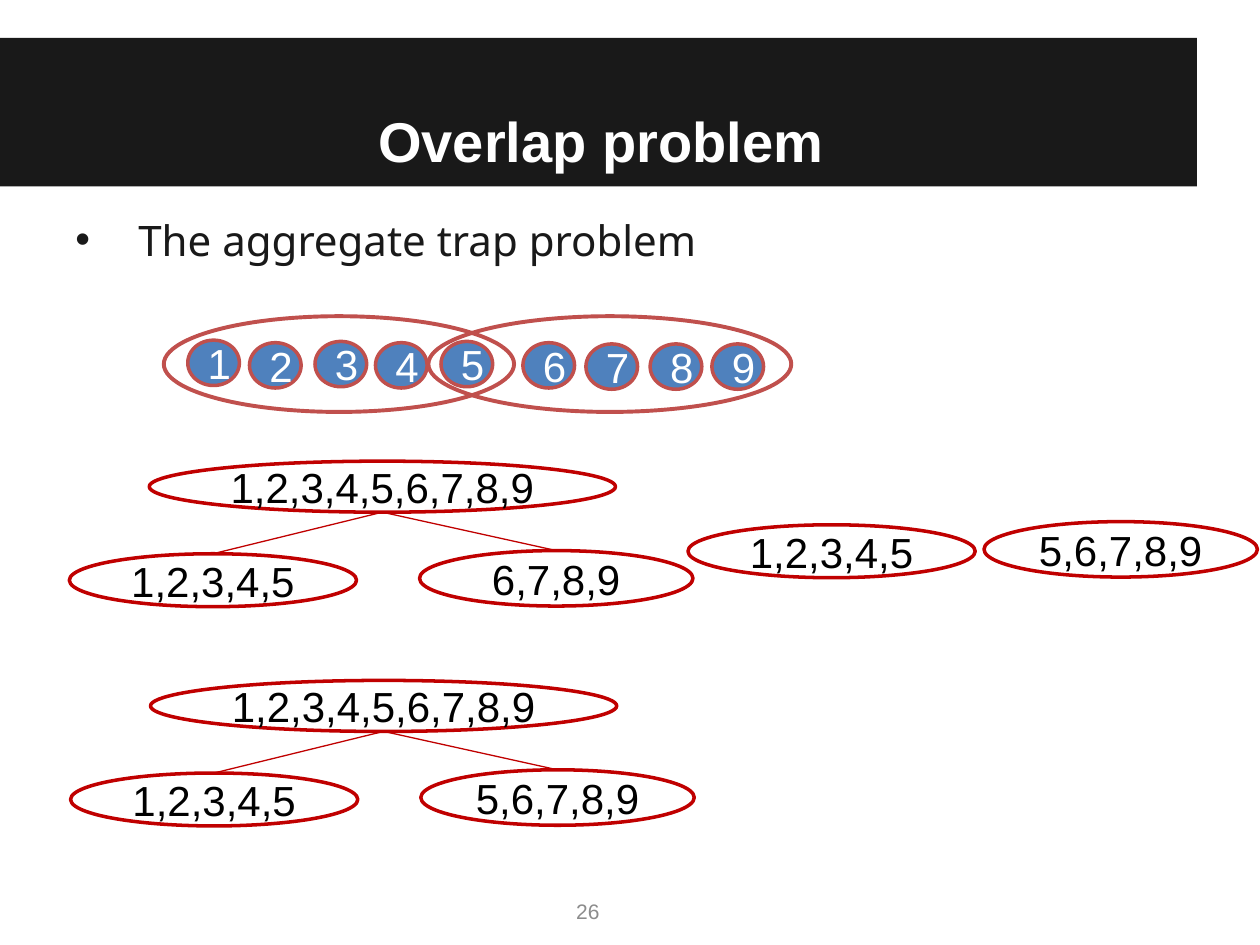
from dataclasses import dataclass

from lxml.etree import SubElement
from pptx import Presentation
from pptx.dml.color import RGBColor
from pptx.enum.shapes import MSO_CONNECTOR as Connector, MSO_SHAPE as Shape
from pptx.enum.text import MSO_ANCHOR as Anchor, PP_ALIGN as Align
from pptx.oxml.ns import qn
from pptx.util import Inches, Pt

COLUMNS, ROWS = 100, 75
CELL = Inches(0.1)


@dataclass(frozen=True)
class Theme:
    ink: str = "191919"
    white: str = "FFFFFF"
    black: str = "000000"
    grey: str = "8C8C8C"
    blue: str = "4F81BD"
    brick: str = "C0504D"
    red: str = "C00000"
    sans: str = "Arial"
    body_font: str = "Noto Sans"
    title_size: float = 32
    body_size: float = 24
    number_size: float = 12
    group_line: float = 2.25
    node_line: float = 2
    link_line: float = 0.75


THEME = Theme()


@dataclass(frozen=True)
class Box:
    """A rectangle in grid columns and rows."""
    left: float
    top: float
    width: float
    height: float

    def inner(self, left, top, width, height):
        return Box(self.left + left, self.top + top, width, height)

    def lengths(self):
        return [round(n * CELL) for n in (self.left, self.top, self.width, self.height)]

    def top_centre(self):
        return round((self.left + self.width / 2) * CELL), round(self.top * CELL)

    def bottom_centre(self):
        return self.top_centre()[0], round((self.top + self.height) * CELL)


def apply(target, formats):
    for name, value in formats.items():
        setattr(target, name, value)


def write(frame, text, color, size, font=THEME.sans, align=Align.CENTER, bold=False):
    paragraph = frame.paragraphs[0]
    paragraph.alignment = align
    run = paragraph.add_run()
    run.text = text
    apply(run.font, {"name": font, "size": Pt(size), "bold": bold})
    run.font.color.rgb = RGBColor.from_string(color)
    return paragraph


def add_text_box(slide, box, anchor, inset=0.1):
    shape = slide.shapes.add_textbox(*box.lengths())
    margins = {f"margin_{side}": Inches(inset) for side in ("left", "top", "right", "bottom")}
    apply(shape.text_frame, {"word_wrap": True, "vertical_anchor": anchor, **margins})
    return shape


def add_ellipse(slide, box, line, weight, fill=None, text=None, color=THEME.black):
    shape = slide.shapes.add_shape(Shape.OVAL, *box.lengths())
    shape.shadow.inherit = False
    if fill:
        shape.fill.solid()
        shape.fill.fore_color.rgb = RGBColor.from_string(fill)
    else:
        shape.fill.background()
    shape.line.color.rgb = RGBColor.from_string(line)
    shape.line.width = Pt(weight)
    if text:
        shape.text_frame.vertical_anchor = Anchor.MIDDLE
        write(shape.text_frame, text, color, THEME.body_size)


def add_node(slide, box, text):
    add_ellipse(slide, box, THEME.red, THEME.node_line, text=text)


def add_link(slide, start, end):
    link = slide.shapes.add_connector(Connector.STRAIGHT, *start, *end)
    link.line.color.rgb = RGBColor.from_string(THEME.red)
    link.line.width = Pt(THEME.link_line)
    SubElement(link._element.spPr, qn("a:effectLst"))


def add_title(slide, box, text):
    shape = add_text_box(slide, box, Anchor.BOTTOM)
    shape.fill.solid()
    shape.fill.fore_color.rgb = RGBColor.from_string(THEME.ink)
    paragraph = write(shape.text_frame, text, THEME.white, THEME.title_size, bold=True)
    paragraph._p.get_or_add_pPr().set("marL", str(Inches(0.04)))


def add_bullet(slide, box, text):
    shape = add_text_box(slide, box, Anchor.TOP)
    paragraph = write(shape.text_frame, text, THEME.ink, THEME.body_size,
                      THEME.body_font, Align.LEFT)
    properties = paragraph._p.get_or_add_pPr()
    properties.set("marL", str(Inches(0.5)))
    properties.set("indent", str(-Inches(0.5)))
    color = SubElement(properties, qn("a:buClr"))
    SubElement(color, qn("a:srgbClr"), val=THEME.ink)
    SubElement(properties, qn("a:buFont"), typeface=THEME.sans)
    SubElement(properties, qn("a:buChar"), char="•")


def add_slide_number(slide, box, text):
    shape = add_text_box(slide, box, Anchor.MIDDLE, 0.05)
    write(shape.text_frame, text, THEME.grey, THEME.number_size)


def add_overlapping_groups(slide, box):
    """Nine numbered items inside two ellipses that share item 5."""
    items = [(1.9, 1.9), (6.8, 2.1), (12, 2), (16.8, 2.1), (22, 2),
             (28.5, 2.1), (33.5, 2.2), (38.6, 2.2), (43.5, 2.2)]
    groups = {1: (0, 27.8), 6: (21, 28.8)}
    for number, (left, top) in enumerate(items, start=1):
        if number in groups:
            group_left, width = groups[number]
            add_ellipse(slide, box.inner(group_left, 0, width, box.height),
                        THEME.brick, THEME.group_line)
        add_ellipse(slide, box.inner(left, top, 4.1, 3.6), THEME.brick, THEME.node_line,
                    THEME.blue, str(number), THEME.white)


def add_pair(slide, box, texts):
    """Two nodes at the left and right ends of the box."""
    nodes = [box.inner(0, 0.25, 22.8, 4.2), box.inner(box.width - 21.7, 0, 21.7, 4.4)]
    for node, text in zip(nodes, texts):
        add_node(slide, node, text)
    return nodes


def add_tree(slide, box, root_text, child_texts):
    root = box.inner(6.35, 0, 37, 4.05)
    children = add_pair(slide, box.inner(0, 7.1, box.width, 4.45), child_texts)
    add_node(slide, root, root_text)
    for child in children:
        add_link(slide, child.top_centre(), root.bottom_centre())


def main():
    presentation = Presentation()
    presentation.slide_width, presentation.slide_height = COLUMNS * CELL, ROWS * CELL
    slide = presentation.slides.add_slide(presentation.slide_layouts[6])

    every, low, high = "1,2,3,4,5,6,7,8,9", "1,2,3,4,5", "5,6,7,8,9"
    add_title(slide, Box(0, 3, 95, 11.8), "Overlap problem")
    add_bullet(slide, Box(5, 16, 90, 53.6), "The aggregate trap problem")
    add_slide_number(slide, Box(35.4, 70.3, 22.5, 4), "26")
    add_overlapping_groups(slide, Box(13, 25.1, 49.8, 7.6))
    add_tree(slide, Box(5.5, 36.6, 49.5, 11.55), every, (low, "6,7,8,9"))
    add_tree(slide, Box(5.6, 54, 49.5, 11.55), every, (low, high))
    add_pair(slide, Box(54.6, 41.4, 45.2, 4.45), (low, high))

    presentation.save("out.pptx")


if __name__ == "__main__":
    main()
